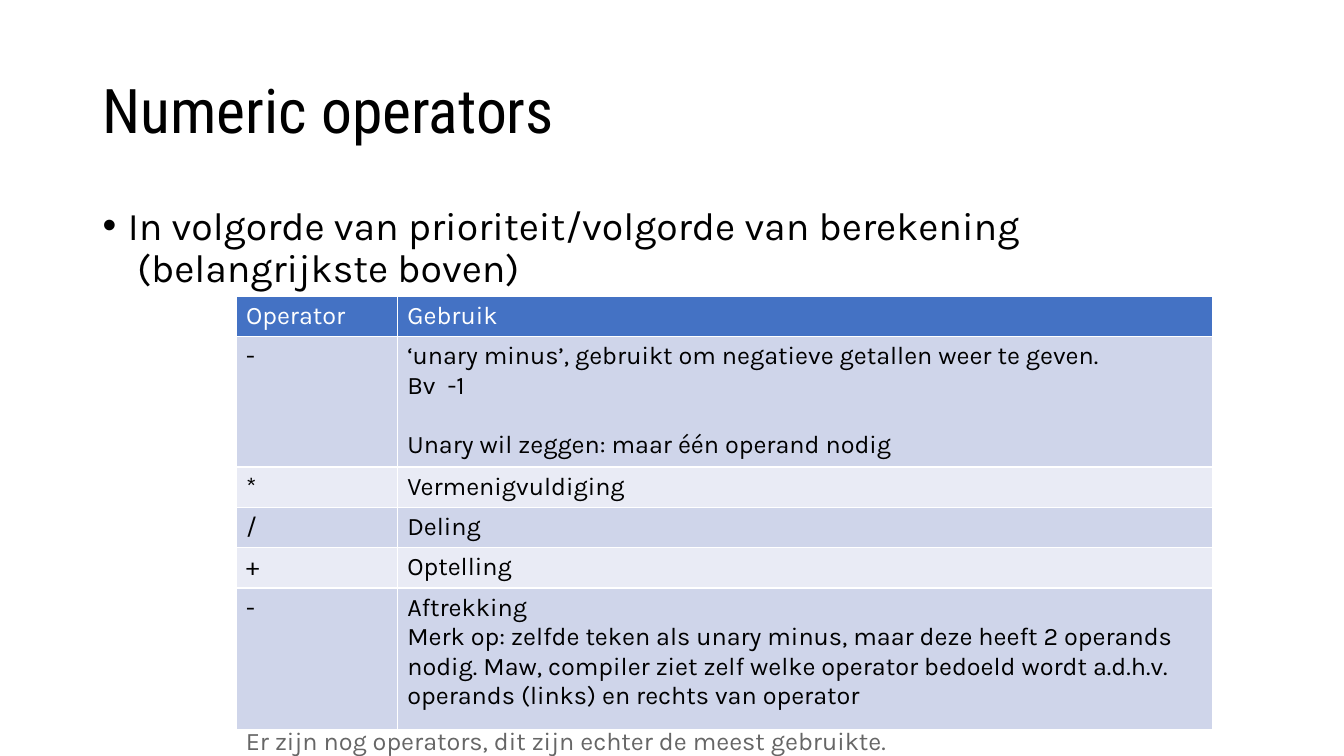
from dataclasses import dataclass

from lxml.etree import SubElement as Sub
from pptx import Presentation
from pptx.dml.color import RGBColor as RGB
from pptx.enum.text import MSO_ANCHOR as Anchor, MSO_AUTO_SIZE as Fit
from pptx.oxml.ns import qn
from pptx.util import Inches, Pt


@dataclass(frozen=True)
class Theme:
    head: str = "Roboto Condensed"
    body: str = "Karla"
    big: int = 44
    mid: int = 28
    small: int = 18
    black: str = "000000"
    white: str = "FFFFFF"
    grey: str = "666666"
    blue: str = "4472C4"
    bands: tuple = ("CFD5EA", "E9EBF5")


THEME = Theme()
ROWS = [
    ("Operator", "Gebruik"),
    ("-", "‘unary minus’, gebruikt om negatieve getallen weer te geven.\n"
          "Bv  -1\nUnary wil zeggen: maar één operand nodig"),
    ("*", "Vermenigvuldiging"),
    ("/", "Deling"),
    ("+", "Optelling"),
    ("-", "Aftrekking\nMerk op: zelfde teken als unary minus, maar deze heeft "
          "2 operands nodig. Maw, compiler ziet zelf welke operator bedoeld "
          "wordt a.d.h.v. operands (links) en rechts van operator"),
]
WIDTHS = (1.6, 8.09)
HEIGHTS = (0.36, 1.14, 0.36, 0.36, 0.36, 1.4)


def style(frame, font, size, color):
    for para in frame.paragraphs:
        for run in para.runs:
            run.font.name = font
            run.font.size = Pt(size)
            run.font.bold = False
            run.font.color.rgb = RGB.from_string(color)


def add_text(slide, text, box, font, size, color):
    frame = slide.shapes.add_textbox(*map(Inches, box)).text_frame
    frame.word_wrap = True
    frame.text = text
    style(frame, font, size, color)
    return frame


def add_bullet(para, indent):
    props = para._p.get_or_add_pPr()
    props.set("marL", str(Inches(indent)))
    props.set("indent", str(-Inches(indent)))
    Sub(props, qn("a:buFont"), typeface="Arial")
    Sub(props, qn("a:buChar"), char="•")


def fill_cell(cell, text, fill, color):
    cell.fill.solid()
    cell.fill.fore_color.rgb = RGB.from_string(fill)
    cell.text_frame.text = text
    style(cell.text_frame, THEME.body, THEME.small, color)


def add_grid(slide, left, top):
    size = map(Inches, (left, top, sum(WIDTHS), sum(HEIGHTS)))
    table = slide.shapes.add_table(len(ROWS), len(WIDTHS), *size).table
    for col, width in zip(table.columns, WIDTHS):
        col.width = Inches(width)
    for row, height in zip(table.rows, HEIGHTS):
        row.height = Inches(height)
    for i, texts in enumerate(ROWS):
        fill = THEME.bands[(i - 1) % 2] if i else THEME.blue
        color = THEME.black if i else THEME.white
        for j, text in enumerate(texts):
            fill_cell(table.cell(i, j), text, fill, color)
    return table


def main():
    deck = Presentation()
    deck.slide_width, deck.slide_height = Inches(13.33), Inches(7.5)
    slide = deck.slides.add_slide(deck.slide_layouts[6])

    title = add_text(slide, "Numeric operators", (0.92, 0.4, 11.5, 1.45),
                     THEME.head, THEME.big, THEME.black)
    title.vertical_anchor = Anchor.MIDDLE
    title.paragraphs[0].line_spacing = 0.9

    intro = add_text(slide, "In volgorde van prioriteit/volgorde van berekening"
                     "\v (belangrijkste boven)", (0.92, 2, 11.5, 4.76),
                     THEME.body, THEME.mid, THEME.black)
    point = intro.paragraphs[0]
    point.line_spacing = 0.9
    point.space_before = Pt(10)
    add_bullet(point, 0.25)

    table = add_grid(slide, 2.34, 2.94)
    table.cell(1, 1).text_frame.paragraphs[-1].space_before = Pt(21)

    note = add_text(slide, "Er zijn nog operators, dit zijn echter de meest gebruikte.",
                    (2.34, 7.15, 8.4, 0.4), THEME.body, THEME.small, THEME.grey)
    note.auto_size = Fit.SHAPE_TO_FIT_TEXT

    deck.save("out.pptx")


if __name__ == "__main__":
    main()
